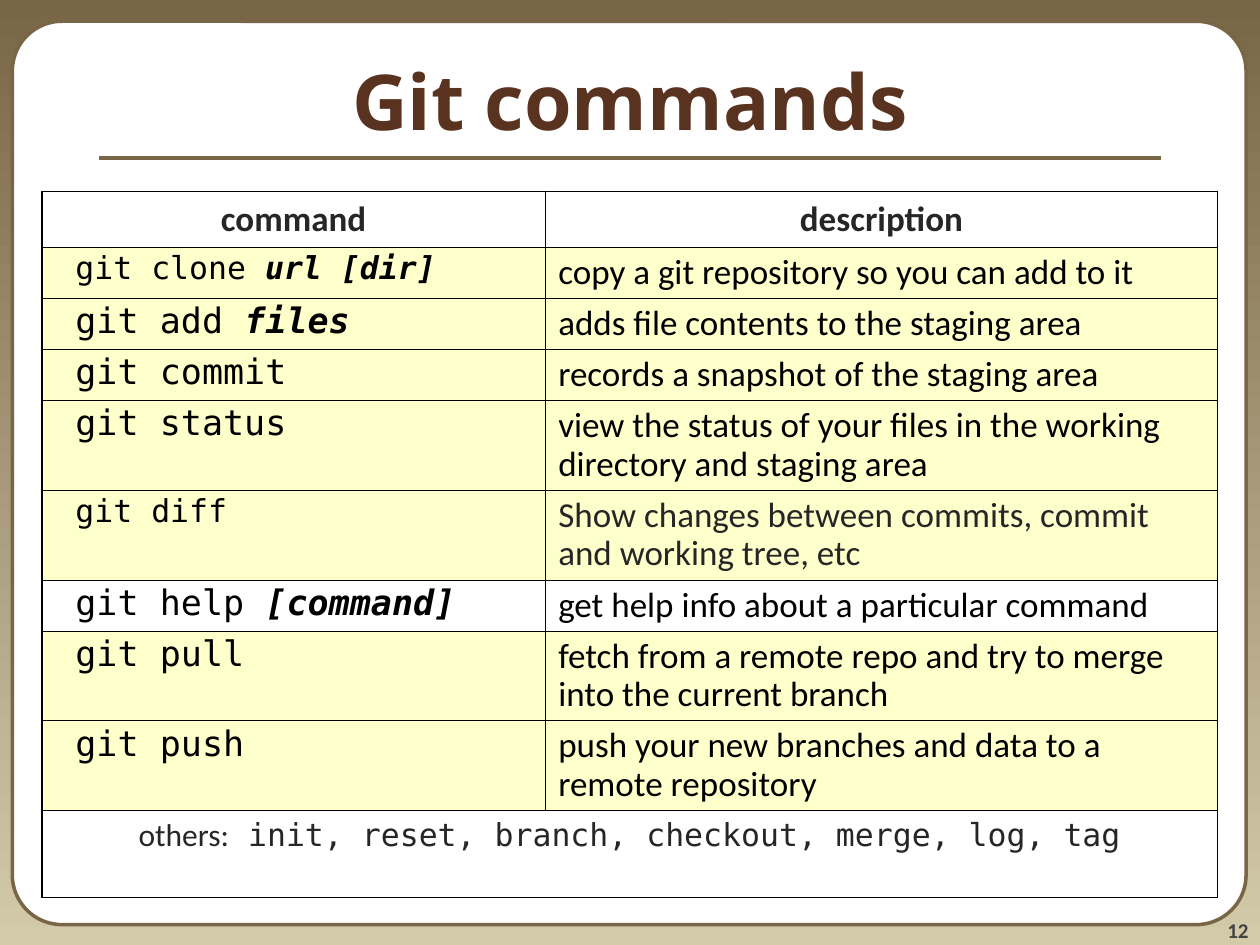
from typing import NamedTuple

from lxml.etree import SubElement
from pptx import Presentation
from pptx.dml.color import RGBColor as Rgb
from pptx.enum.shapes import MSO_CONNECTOR as Link, MSO_SHAPE as Form
from pptx.enum.text import MSO_ANCHOR as Anchor, PP_ALIGN as Align
from pptx.oxml.ns import qn
from pptx.util import Cm, Pt

SANS, MONO, HEAD = "Calibri", "DejaVu Sans Mono", "Noto Sans"
BROWN, SAND, RUST = "796646", "D3CAAA", "5A3320"
BLACK, DARK, GREY, WHITE, CREAM = "000000", "262626", "424242", "FFFFFF", "FFFFCC"
THIN, THICK = 0.45, 1.08


class Part(NamedTuple):
    text: str
    size: float = 20
    font: str = SANS
    ink: str = BLACK
    bold: bool = False
    slant: bool = False


class Entry(NamedTuple):
    code: str
    args: str
    note: str
    tall: bool = False
    size: float = 20
    ink: str = BLACK
    fill: str = CREAM


ENTRIES = [
    Entry("git clone ", "url [dir]", "copy a git repository so you can add to it", size=18),
    Entry("git add ", "files", "adds file contents to the staging area"),
    Entry("git commit", "", "records a snapshot of the staging area"),
    Entry("git status", "", "view the status of your files in the working "
          "directory and staging area", tall=True),
    Entry("git diff", "", "Show changes between commits, commit and working tree, etc",
          tall=True, size=18, ink=DARK),
    Entry("git help ", "[command]", "get help info about a particular command", fill=""),
    Entry("git pull", "", "fetch from a remote repo and try to merge into "
          "the current branch", tall=True),
    Entry("git push", "", "push your new branches and data to a remote repository",
          tall=True),
]


def tint(color, code: str) -> None:
    color.rgb = Rgb.from_string(code)


def write(frame, parts: list[Part], align=Align.LEFT, pitch: float = 1) -> None:
    para = frame.paragraphs[0]
    para.alignment = align
    para.line_spacing = pitch
    for part in parts:
        run = para.add_run()
        run.text = part.text
        font = run.font
        font.size, font.name = Pt(part.size), part.font
        font.bold, font.italic = part.bold, part.slant
        tint(font.color, part.ink)


def label(slide, box: tuple, part: Part, align, anchor, inset: bool) -> None:
    frame = slide.shapes.add_textbox(*map(Cm, box)).text_frame
    frame.word_wrap = True
    frame.vertical_anchor = anchor
    if not inset:
        frame.margin_left = frame.margin_right = 0
        frame.margin_top = frame.margin_bottom = 0
    write(frame, [part], align)


def edge(cell, widths: dict[str, float]) -> None:
    props = cell._tc.get_or_add_tcPr()
    for side in "LRTB":
        line = SubElement(props, qn(f"a:ln{side}"), w=str(int(Pt(widths[side]))))
        fill = SubElement(line, qn("a:solidFill"))
        SubElement(fill, qn("a:srgbClr"), val=BLACK)


def paint(cell, code: str) -> None:
    if code:
        cell.fill.solid()
        tint(cell.fill.fore_color, code)
    else:
        cell.fill.background()


def frame_page(slide) -> None:
    # Gradient and white panel
    back = slide.background.fill
    back.gradient()
    back.gradient_angle = 270
    for stop, code in zip(back.gradient_stops, (BROWN, SAND)):
        tint(stop.color, code)
    panel = slide.shapes.add_shape(Form.ROUNDED_RECTANGLE, Cm(0.25), Cm(0.43),
                                   Cm(24.87), Cm(18.21))
    panel.adjustments[0] = 0.055
    panel.shadow.inherit = False
    panel.fill.solid()
    tint(panel.fill.fore_color, WHITE)
    tint(panel.line.color, BROWN)
    panel.line.width = Pt(2)

    # Page number, rule and title
    label(slide, (23.06, 17.98, 2.11, 1.02), Part("12", 12, SANS, GREY, True),
          Align.RIGHT, Anchor.BOTTOM, False)
    rule = slide.shapes.add_connector(Link.STRAIGHT, Cm(2), Cm(3.18), Cm(23.4), Cm(3.18))
    tint(rule.line.color, BROWN)
    rule.line.width = Pt(2.25)
    SubElement(rule._element.spPr, qn("a:effectLst"))
    label(slide, (0, 0.43, 25.4, 3.18), Part("Git commands", 44, HEAD, RUST, True),
          Align.CENTER, Anchor.MIDDLE, True)


def fill_table(slide) -> None:
    sizes = [1.12, *(1.81 if item.tall else 1.03 for item in ENTRIES), 1.75]
    last = len(sizes) - 1
    grid = slide.shapes.add_table(len(sizes), 2, Cm(0.84), Cm(3.86),
                                  Cm(23.7), Cm(sum(sizes))).table
    grid.first_row = grid.horz_banding = False
    for col, width in zip(grid.columns, (10.16, 13.54)):
        col.width = Cm(width)
    for row, size in zip(grid.rows, sizes):
        row.height = Cm(size)

    # Thick outer edge, thin inner lines
    fills = ["", *(item.fill for item in ENTRIES), ""]
    for y, code in enumerate(fills):
        for x in range(2):
            cell = grid.cell(y, x)
            wide = y == last
            edge(cell, {"L": THICK if x == 0 else THIN,
                        "R": THICK if x == 1 or wide else THIN,
                        "T": THICK if y == 0 else THIN,
                        "B": THICK if wide else THIN})
            paint(cell, code)

    # Header
    for x, text in enumerate(("command", "description")):
        write(grid.cell(0, x).text_frame, [Part(text, ink=DARK, bold=True)], Align.CENTER)

    # Commands, set in by one code letter
    for y, item in enumerate(ENTRIES, 1):
        cell = grid.cell(y, 0)
        cell.margin_left = Cm(0.68)
        parts = [Part(item.code, item.size, MONO)]
        if item.args:
            parts.append(Part(item.args, item.size, MONO, bold=True, slant=True))
        write(cell.text_frame, parts, pitch=0.9)
        write(grid.cell(y, 1).text_frame, [Part(item.note, ink=item.ink)], pitch=0.9)

    # Footer across both columns
    foot = grid.cell(last, 0)
    foot.merge(grid.cell(last, 1))
    write(foot.text_frame,
          [Part("others:", 18, SANS, DARK),
           Part(" init, reset, branch, checkout, merge, log, tag", 18, MONO, DARK)],
          Align.CENTER)


def main() -> None:
    deck = Presentation()
    deck.slide_width, deck.slide_height = Cm(25.4), Cm(19.05)
    slide = deck.slides.add_slide(deck.slide_layouts[6])
    frame_page(slide)
    fill_table(slide)
    deck.save("out.pptx")


if __name__ == "__main__":
    main()
